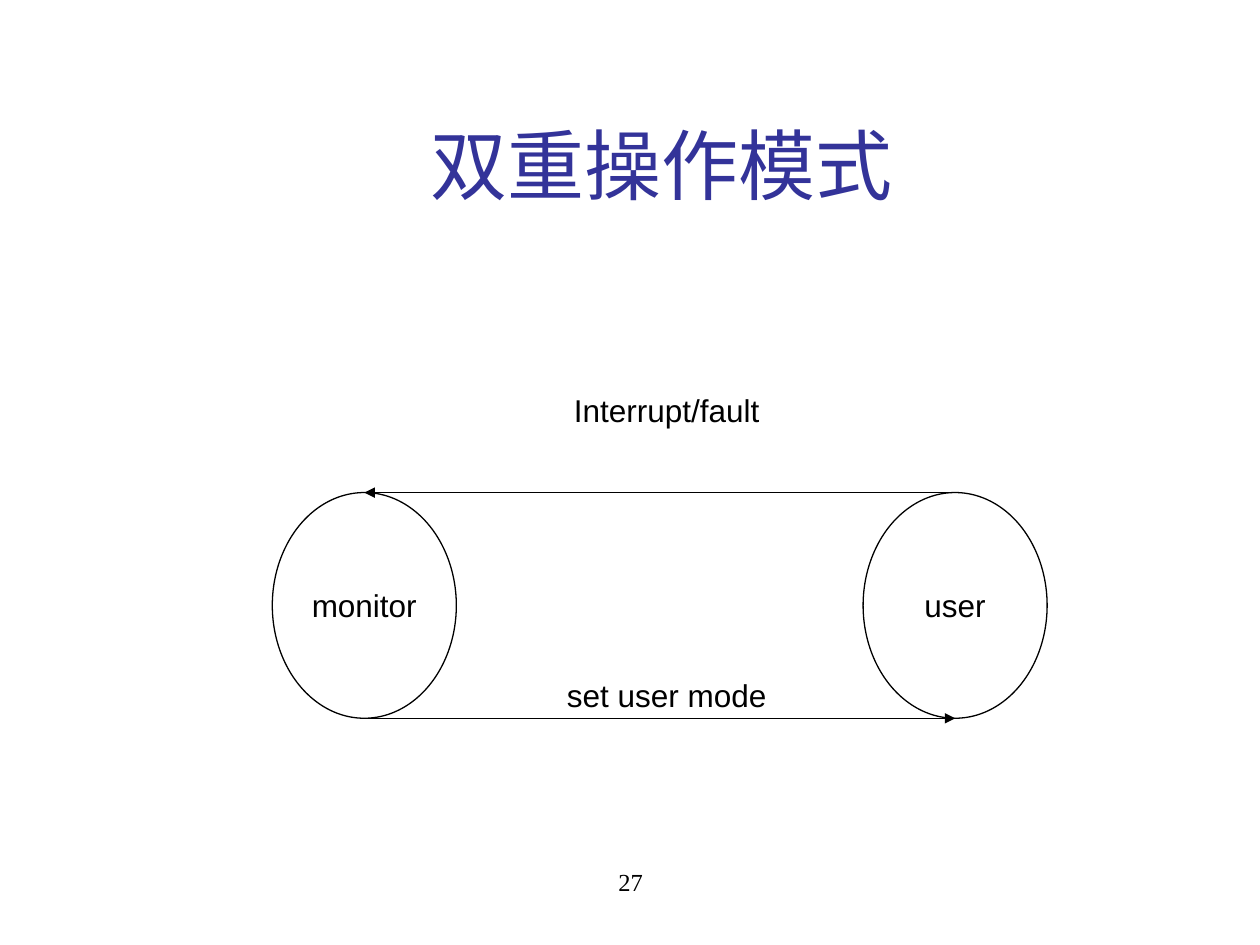
"""Build the dual-mode operation slide."""
import pptx
import pptx.util
import pptx.dml.color
import pptx.enum.shapes
import pptx.enum.text
import pptx.oxml
import pptx.oxml.ns

Cm, Pt = pptx.util.Cm, pptx.util.Pt
COLORS = {"title": "333399", "ink": "000000", "paper": "FFFFFF"}
TITLE = ("双重操作模式", (2.54, 1.7, 21.59, 3.18))
PAGE = ("27", (8.69, 17.35, 8.05, 1.27))
MODES = [("monitor", 5.49), ("user", 17.4)]
MODE_TOP, MODE_W, MODE_H = 9.93, 3.71, 4.55
LABELS = [("Interrupt/fault", 7.75), ("set user mode", 13.49)]
LABEL_CENTER, LABEL_W, LABEL_H = 13.44, 4.52, 1.02
BODY = {"size": Pt(18), "name": "Arial"}
TITLE_FONT = {"size": Pt(44), "name": "Times New Roman"}
PAGE_FONT = {"size": Pt(14), "name": "Times New Roman"}


def rgb(key):
    return pptx.dml.color.RGBColor.from_string(COLORS[key])


def place(s, box):
    for name, value in zip(("left", "top", "width", "height"), box):
        setattr(s, name, Cm(value))


def write(s, text, font, color="ink", wrap=False, anchor="MIDDLE"):
    tf = s.text_frame
    frame = {"word_wrap": wrap, "auto_size": pptx.enum.text.MSO_AUTO_SIZE.NONE,
             "vertical_anchor": getattr(pptx.enum.text.MSO_ANCHOR, anchor)}
    for name, value in frame.items():
        setattr(tf, name, value)
    p = tf.paragraphs[0]
    p.alignment = pptx.enum.text.PP_ALIGN.CENTER
    r = p.add_run()
    r.text = text
    for name, value in font.items():
        setattr(r.font, name, value)
    r.font.color.rgb = rgb(color)


def outline(s):
    s.line.color.rgb = rgb("ink")
    s.line.width = Pt(0.75)


def add_mode(shapes, text, left):
    s = shapes.add_shape(pptx.enum.shapes.MSO_SHAPE.OVAL, Cm(left), Cm(MODE_TOP), Cm(MODE_W), Cm(MODE_H))
    s.shadow.inherit = False
    s.fill.solid()
    s.fill.fore_color.rgb = rgb("paper")
    outline(s)
    write(s, text, BODY)


def add_arrow(shapes, start, end, y):
    s = shapes.add_connector(pptx.enum.shapes.MSO_CONNECTOR.STRAIGHT, Cm(start), Cm(y), Cm(end), Cm(y))
    outline(s)
    ns = pptx.oxml.ns.nsdecls("a")
    s.line._get_or_add_ln().append(pptx.oxml.parse_xml(f'<a:tailEnd {ns} type="triangle"/>'))
    s._element.spPr.append(pptx.oxml.parse_xml(f"<a:effectLst {ns}/>"))


def add_text(shapes, text, box, font, **options):
    s = shapes.add_textbox(*map(Cm, box))
    write(s, text, font, **options)


def main():
    prs = pptx.Presentation()
    prs.slide_width, prs.slide_height = Cm(25.4), Cm(19.05)
    slide = prs.slides.add_slide(prs.slide_layouts[5])
    shapes = slide.shapes
    place(shapes.title, TITLE[1])
    write(shapes.title, TITLE[0], TITLE_FONT, color="title", wrap=True)
    add_text(shapes, *PAGE, PAGE_FONT, wrap=True, anchor="TOP")
    for text, left in MODES:
        add_mode(shapes, text, left)
    monitor_x, user_x = (left + MODE_W / 2 for _, left in MODES)
    add_arrow(shapes, user_x, monitor_x, MODE_TOP)
    add_arrow(shapes, monitor_x, user_x, MODE_TOP + MODE_H)
    for text, top in LABELS:
        add_text(shapes, text, (LABEL_CENTER - LABEL_W / 2, top, LABEL_W, LABEL_H), BODY)
    prs.save("out.pptx")


if __name__ == "__main__":
    main()
